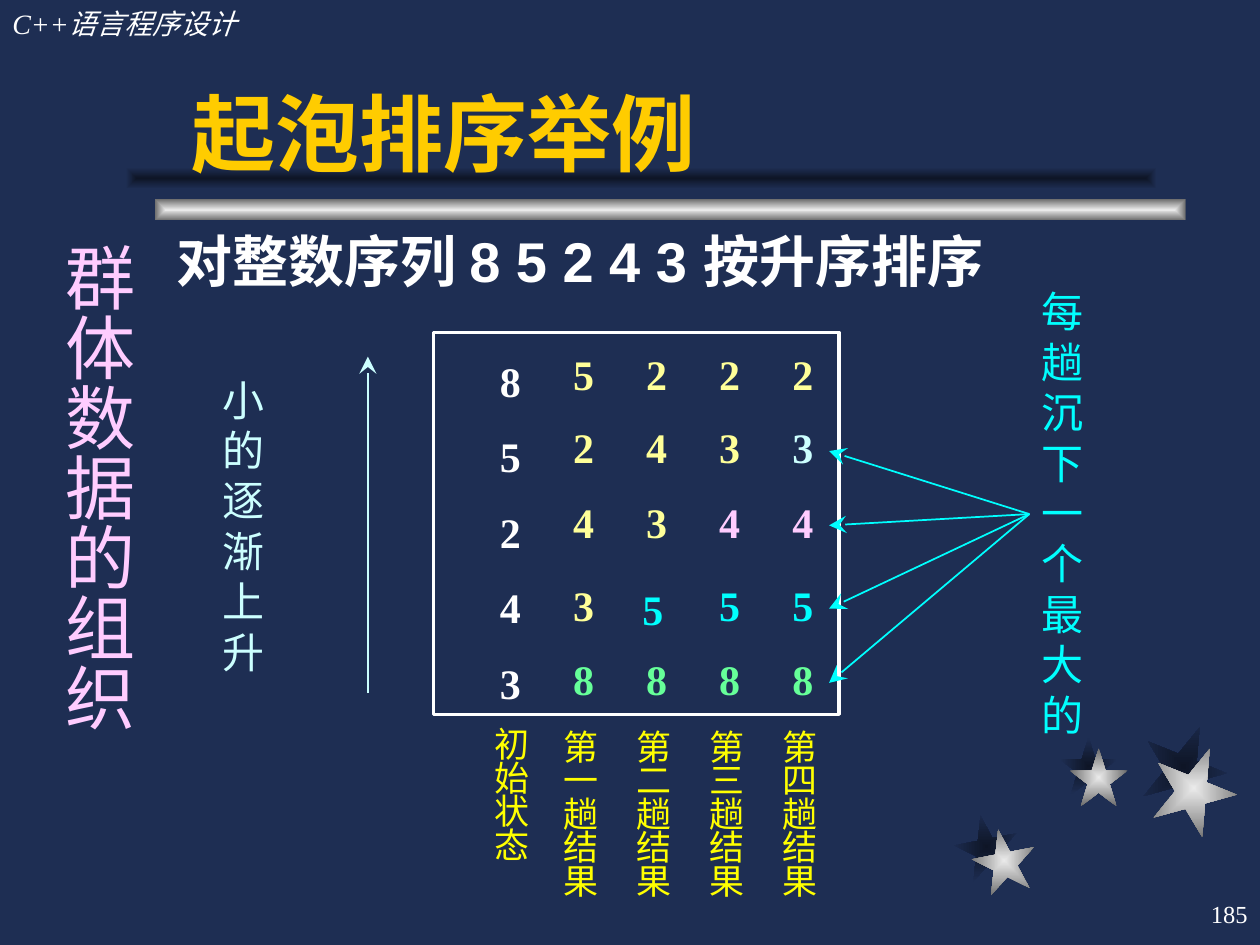
"""Build the bubble sort example slide."""
from lxml import etree
from pptx import Presentation, util as u
from pptx.dml.color import RGBColor
from pptx.enum import shapes, text
from pptx.oxml.ns import qn

SERIF, SANS, CJK = "Times New Roman", "Arial", "Noto Sans CJK SC"
NAVY, WHITE, CYAN, YELLOW, PALE, PINK = "1E2E53", "FFFFFF", "00FFFF", "FFFF00", "CCFFFF", "FFCCFF"
SHADE, SILVER = ("0E1526", NAVY), ("EAEAEA", "6C6C6C")

STARS = [
    (SHADE, 7.58, 6.47, 0.5, -11), (SHADE, 8.41, 5.85, 0.46, 0), (SHADE, 9.06, 5.75, 0.67, 22),
    (SILVER, 7.72, 6.58, 0.5, -11), (SILVER, 8.49, 5.94, 0.46, 0), (SILVER, 9.14, 5.92, 0.67, 22),
]
BARS = [(SILVER, 1.23, 1.58), (SHADE, 1, 1.33)]
TEXTS = [
    ("C++语言程序设计", (0, 0, 3.08, 0.37), dict(size=16, color=WHITE, italic=True)),
    ("185", (7.92, 7, 2.08, 0.5), dict(size=14, color=WHITE, align="RIGHT", anchor="MIDDLE")),
    ("起泡排序举例", (1.42, 0.58, 7.83, 0.92),
     dict(size=48, color="FFCC00", font=CJK, bold=True, anchor="BOTTOM")),
    ("对整数序列 8 5 2 4 3 按升序排序", (1.3, 1.75, 7.95, 0.75),
     dict(size=32, color=WHITE, font=SANS, bold=True)),
    ("小的逐渐上升", (1.67, 2.92, 0.67, 2.5), dict(size=24, color=PALE)),
    ("每趟沉下一个最大的", (8.17, 2.22, 0.58, 3.7), dict(size=24, color=CYAN)),
]
CHAPTER = "群体数据的组织"
INITIAL = "85243"
PASSES = ["52438", "24358", "23458", "23458"]
LABELS = ["第一趟结果", "第二趟结果", "第三趟结果", "第四趟结果"]
UNSETTLED = "FFFF99"
SETTLED = {"8": "66FF99", "5": CYAN, "4": PINK, "3": PALE}
ROW_TOPS = [2.72, 3.3, 3.89, 4.55, 5.14]
NUDGES = {(1, 3): (-0.03, 0.03)}
FIRST_PASS, PASS_STEP = 4.45, 0.58
HUB = (8.17, 4.08)
SUNK_TOPS = [5.42, 4.83, 4.17, 3.58]


def rgb(value):
    return RGBColor.from_string(value)


def inches(*values):
    return [u.Inches(value) for value in values]


def add_text(slide, lines, place, size, color, font=SERIF, bold=False, italic=False,
             align="LEFT", anchor="TOP", spacing=None, wrap=True):
    box = slide.shapes.add_textbox(*inches(*place))
    frame = box.text_frame
    frame.word_wrap = wrap
    frame.vertical_anchor = getattr(text.MSO_ANCHOR, anchor)
    frame.text = lines
    for paragraph in frame.paragraphs:
        paragraph.alignment = getattr(text.PP_ALIGN, align)
        paragraph.line_spacing = spacing
        for run in paragraph.runs:
            style = dict(size=u.Pt(size), bold=bold, italic=italic, name=font)
            for key, value in style.items():
                setattr(run.font, key, value)
            run.font.color.rgb = rgb(color)
            latin = run.font._element.find(qn("a:latin"))
            latin.addnext(latin.makeelement(qn("a:ea"), {"typeface": CJK}))
    return box


def add_glow(slide, kind, place, colors, rotation=0):
    shape = slide.shapes.add_shape(kind, *inches(*place))
    shape.shadow.inherit = False
    shape.rotation = rotation
    shape.line.fill.background()
    shape.fill.gradient()
    for stop, color in zip(shape.fill.gradient_stops, colors):
        stop.color.rgb = rgb(color)
    gradient = shape._element.spPr.find(qn("a:gradFill"))
    gradient.remove(gradient.find(qn("a:lin")))
    route = etree.SubElement(gradient, qn("a:path"), {"path": "rect"})
    etree.SubElement(route, qn("a:fillToRect"), dict.fromkeys("ltrb", "50000"))


def add_arrow(slide, start, end, color):
    arrow = slide.shapes.add_connector(shapes.MSO_CONNECTOR.STRAIGHT, *inches(*start, *end))
    arrow.line.color.rgb = rgb(color)
    arrow.line.width = u.Pt(1)
    line = arrow.line._get_or_add_ln()
    etree.SubElement(line, qn("a:tailEnd"), {"type": "stealth", "w": "lg", "len": "lg"})
    etree.SubElement(arrow._element.spPr, qn("a:effectLst"))


def add_sorting(slide):
    digit = dict(size=24, bold=True, wrap=False)
    label = dict(size=20, color=YELLOW, spacing=0.8)
    add_text(slide, "\n".join(INITIAL), (3.87, 2.57, 0.37, 3.1), color=WHITE, spacing=1.5, **digit)
    add_text(slide, "初始状态", (3.83, 5.75, 0.42, 1.17), **label)
    for column, (numbers, name) in enumerate(zip(PASSES, LABELS)):
        left = FIRST_PASS + column * PASS_STEP
        first_settled = len(numbers) - column - 1
        for row, (number, top) in enumerate(zip(numbers, ROW_TOPS)):
            dx, dy = NUDGES.get((column, row), (0, 0))
            color = SETTLED[number] if row >= first_settled else UNSETTLED
            add_text(slide, number, (left + dx, top + dy, 0.37, 0.5), color=color, **digit)
        add_text(slide, name, (left - 0.08, 5.77, 0.42, 1.44), **label)
    frame = slide.shapes.add_shape(shapes.MSO_SHAPE.RECTANGLE, *inches(3.44, 2.64, 3.22, 3.03))
    frame.shadow.inherit = False
    frame.fill.background()
    frame.line.color.rgb = rgb(WHITE)
    frame.line.width = u.Pt(2)


def main():
    deck = Presentation()
    deck.slide_width, deck.slide_height = inches(10, 7.5)
    slide = deck.slides.add_slide(deck.slide_layouts[6])
    slide.background.fill.solid()
    slide.background.fill.fore_color.rgb = rgb(NAVY)
    for colors, left, top, side, rotation in STARS:
        add_glow(slide, shapes.MSO_SHAPE.STAR_5_POINT, (left, top, side, side), colors, rotation)
    for colors, left, top in BARS:
        add_glow(slide, shapes.MSO_SHAPE.RECTANGLE, (left, top, 8.18, 0.17), colors)
    for words, place, style in TEXTS:
        add_text(slide, words, place, **style)
    add_sorting(slide)
    add_arrow(slide, (2.92, 5.5), (2.92, 2.83), PALE)
    for top in SUNK_TOPS:
        add_arrow(slide, HUB, (6.58, top), CYAN)
    chapter = add_text(slide, CHAPTER, (0.3, 1.83, 0.86, 4.1), size=40, color=PINK, font=CJK)
    chapter.text_frame._txBody.bodyPr.set("vert", "eaVert")
    margins = dict(margin_left=0.05, margin_right=0.05, margin_top=0.1, margin_bottom=0.1)
    for side, margin in margins.items():
        setattr(chapter.text_frame, side, u.Inches(margin))
    deck.save("out.pptx")


if __name__ == "__main__":
    main()
